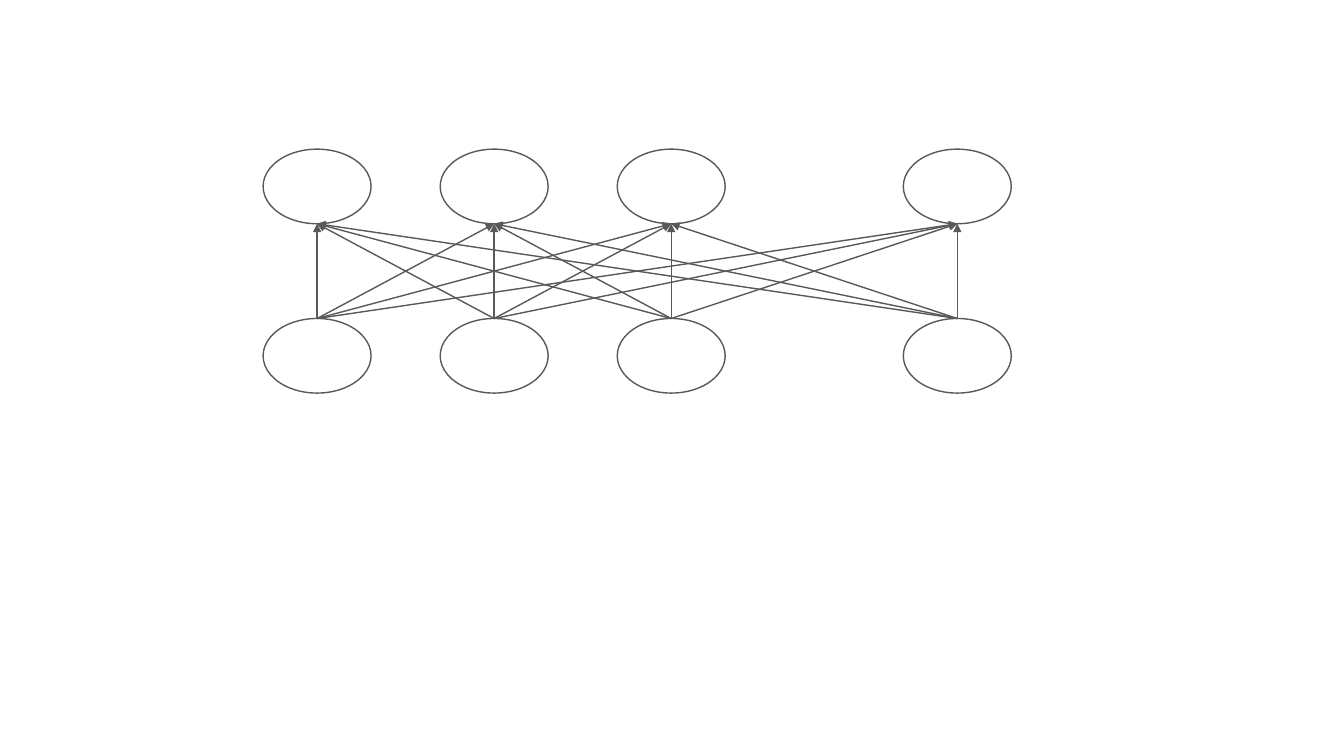
from dataclasses import dataclass
from itertools import product

from lxml.etree import SubElement
from pptx import Presentation
from pptx.dml.color import RGBColor
from pptx.enum.shapes import MSO_CONNECTOR, MSO_SHAPE
from pptx.oxml.ns import qn
from pptx.util import Inches, Pt


@dataclass(frozen=True)
class Theme:
    """Colours and line weights of the slide."""
    line: RGBColor = RGBColor(0x59, 0x59, 0x59)
    weight: int = Pt(1)


THEME = Theme()
COLUMNS = (0, 1.64, 3.28, 5.93)
OUTPUT_ROW, INPUT_ROW = 0, 2.27


def style_line(line):
    """Give a line the theme's colour and weight."""
    line.color.rgb = THEME.line
    line.width = THEME.weight


def add_node(shapes, left, top, width, height):
    """Draw one unfilled neuron."""
    sp = shapes.add_shape(MSO_SHAPE.OVAL, left, top, width, height)
    sp.shadow.inherit = False
    sp.fill.background()
    style_line(sp.line)
    return sp


def add_arrow(shapes, source, target):
    """Draw an arrow from the top of source to the bottom of target."""
    cxn = shapes.add_connector(
        MSO_CONNECTOR.STRAIGHT,
        source.left + source.width // 2, source.top,
        target.left + target.width // 2, target.top + target.height)
    style_line(cxn.line)
    SubElement(cxn.line._get_or_add_ln(), qn("a:tailEnd"), type="triangle")
    SubElement(cxn._element.spPr, qn("a:effectLst"))


def add_network(slide, left, top, width, height):
    """Draw two fully connected layers of neurons in the given box."""
    shapes = slide.shapes.add_group_shape().shapes
    node_w = width / (COLUMNS[-1] + 1)
    node_h = height / (INPUT_ROW + 1)
    outputs, inputs = [
        [add_node(shapes, int(left + col * node_w), int(top + row * node_h),
                  int(node_w), int(node_h)) for col in COLUMNS]
        for row in (OUTPUT_ROW, INPUT_ROW)]
    for source, target in product(inputs, outputs):
        add_arrow(shapes, source, target)


def main():
    """Build and save the presentation."""
    prs = Presentation()
    prs.slide_width, prs.slide_height = Inches(13.33), Inches(7.5)
    s = prs.slides.add_slide(prs.slide_layouts[6])
    add_network(s, Inches(2.61), Inches(1.48), Inches(7.42), Inches(2.42))
    prs.save("out.pptx")


if __name__ == "__main__":
    main()
